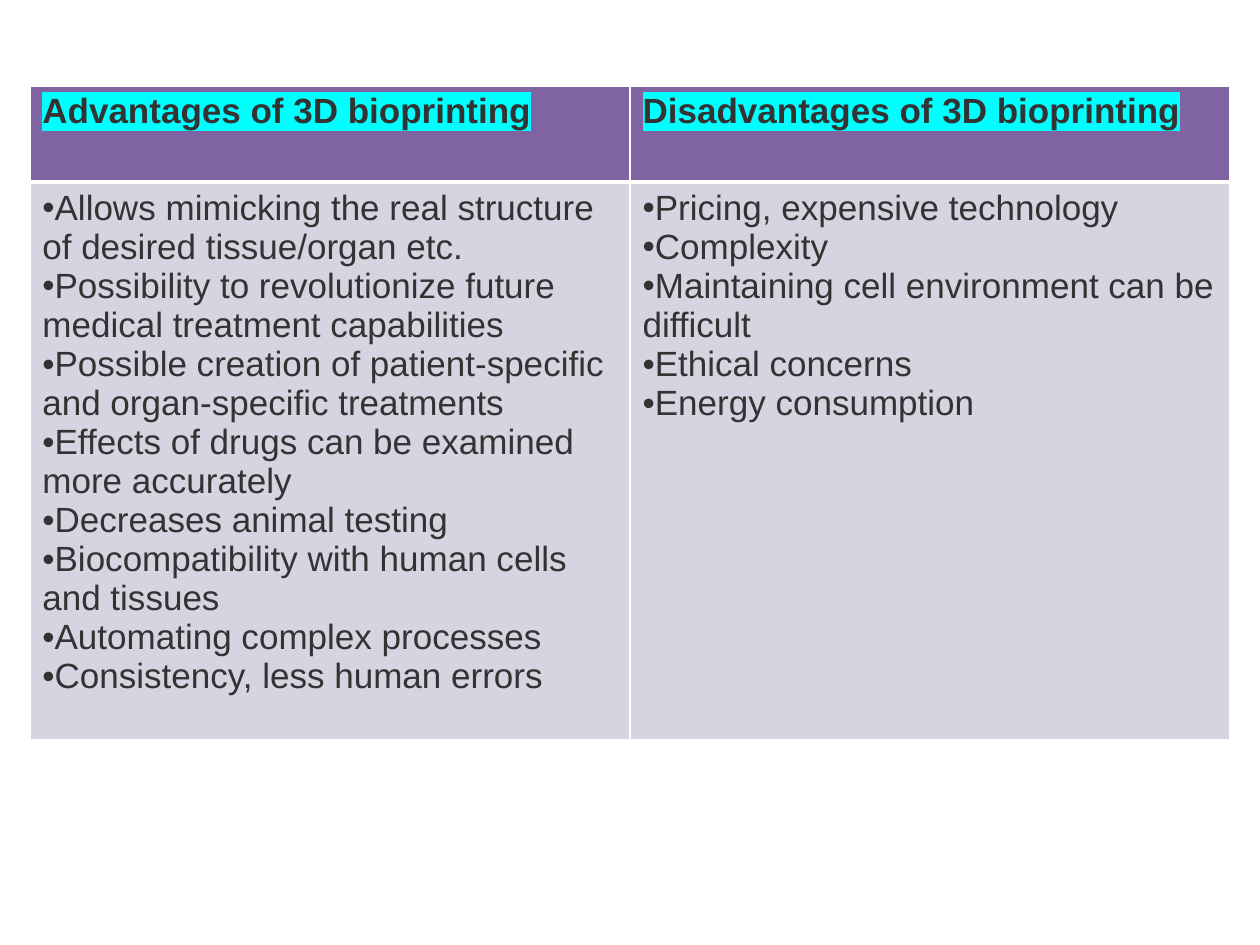
import dataclasses

import lxml.etree
import pptx
import pptx.dml.color
import pptx.oxml.ns
import pptx.util

Pt = pptx.util.Pt
qn = pptx.oxml.ns.qn


def rgb(value):
    return pptx.dml.color.RGBColor.from_string(value)


@dataclasses.dataclass
class Theme:
    font: str = "Arial"
    size: float = 20
    text: str = "333333"
    header: str = "8064A2"
    body: str = "D8D3E0"
    highlight: str = "00FFFF"
    border: str = "FFFFFF"
    thin: float = 1
    thick: float = 3


class SlideBuilder:
    def __init__(self, s, theme):
        self.s = s
        self.theme = theme

    def table(self, left, top, col_width, row_heights, columns):
        """Add a table from a mapping of column heading to bullet items."""
        shape = self.s.shapes.add_table(
            len(row_heights), len(columns), Pt(left), Pt(top),
            Pt(col_width * len(columns)), Pt(sum(row_heights)))
        table = shape.table
        for row, height in zip(table.rows, row_heights):
            row.height = Pt(height)
        for i, (heading, items) in enumerate(columns.items()):
            table.columns[i].width = Pt(col_width)
            self.cell(table.cell(0, i), [heading], header=True)
            self.cell(table.cell(1, i), items, header=False)

    def cell(self, cell, lines, header):
        t = self.theme
        cell.text_frame.text = "\n".join(lines)
        for p in cell.text_frame.paragraphs:
            if not header:
                self.bullet(p)
            for r in p.runs:
                r.font.name = t.font
                r.font.size = Pt(t.size)
                r.font.bold = header
                r.font.color.rgb = rgb(t.text)
                if header:
                    self.highlight(r)
        self.borders(cell, header)
        cell.fill.solid()
        cell.fill.fore_color.rgb = rgb(t.header if header else t.body)

    def bullet(self, p):
        pPr = p._p.get_or_add_pPr()
        pPr.set("marL", "0")
        pPr.set("indent", "0")
        lxml.etree.SubElement(pPr, qn("a:buFont"), typeface=self.theme.font)
        lxml.etree.SubElement(pPr, qn("a:buChar"), char="•")

    def highlight(self, r):
        mark = lxml.etree.Element(qn("a:highlight"))
        lxml.etree.SubElement(mark, qn("a:srgbClr"), val=self.theme.highlight)
        r._r.get_or_add_rPr().find(qn("a:solidFill")).addnext(mark)

    def borders(self, cell, header):
        """Draw thin borders, with a thick one between header and body."""
        t = self.theme
        tcPr = cell._tc.get_or_add_tcPr()
        thick_side = "B" if header else "T"
        for side in "LRTB":
            width = t.thick if side == thick_side else t.thin
            ln = lxml.etree.SubElement(tcPr, qn("a:ln" + side), w=str(Pt(width)))
            fill = lxml.etree.SubElement(ln, qn("a:solidFill"))
            lxml.etree.SubElement(fill, qn("a:srgbClr"), val=t.border)


def main():
    prs = pptx.Presentation()
    prs.slide_width, prs.slide_height = Pt(720), Pt(540)
    s = prs.slides.add_slide(prs.slide_layouts[6])
    builder = SlideBuilder(s, Theme())
    builder.table(17, 49, 343, [55, 319], {
        "Advantages of 3D bioprinting": [
            "Allows mimicking the real structure of desired tissue/organ etc.",
            "Possibility to revolutionize future medical treatment capabilities",
            "Possible creation of patient-specific and organ-specific treatments",
            "Effects of drugs can be examined more accurately",
            "Decreases animal testing",
            "Biocompatibility with human cells and tissues",
            "Automating complex processes",
            "Consistency, less human errors",
        ],
        "Disadvantages of 3D bioprinting": [
            "Pricing, expensive technology",
            "Complexity",
            "Maintaining cell environment can be difficult",
            "Ethical concerns",
            "Energy consumption",
        ],
    })
    prs.save("out.pptx")


if __name__ == "__main__":
    main()
